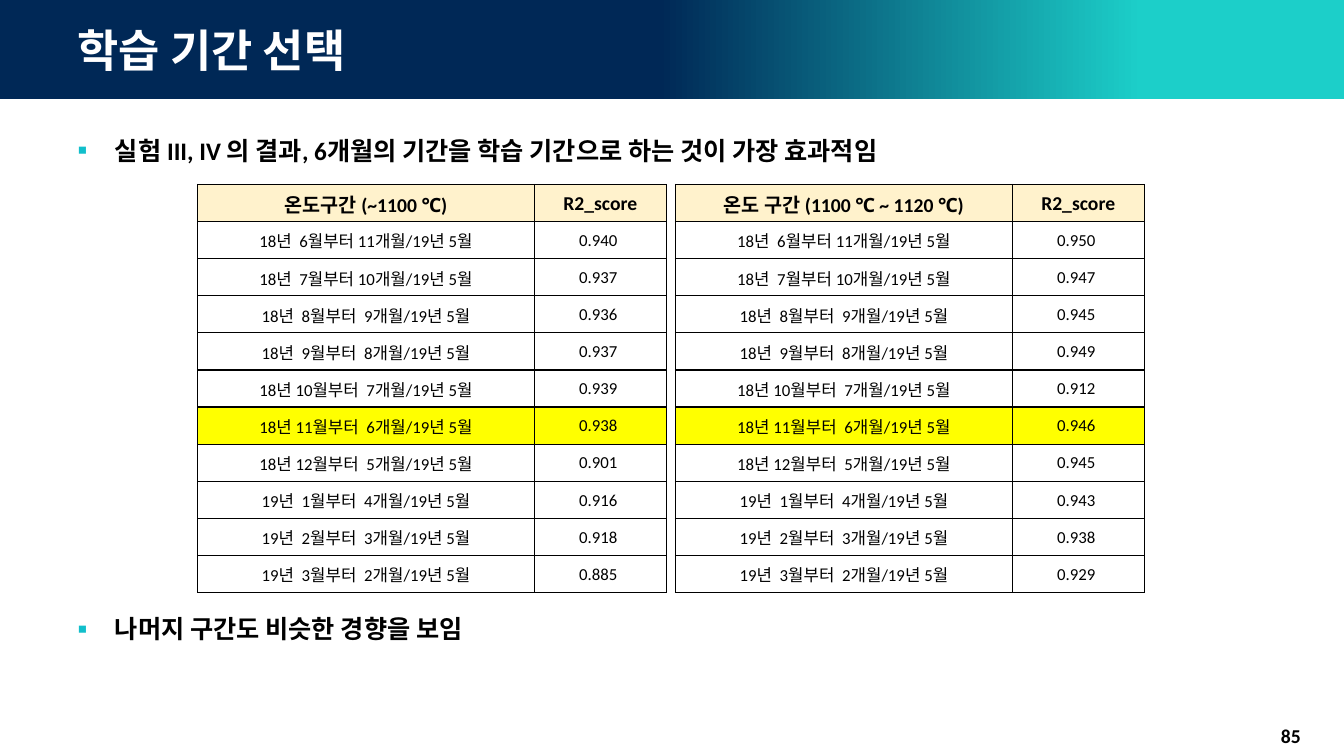
from lxml import etree
from pptx import Presentation, util as u
from pptx.dml.color import RGBColor
from pptx.enum import shapes, text
from pptx.oxml import ns

WIDTH, HEIGHT = 13.33, 7.5
MARGIN = 0.67
BAND_HEIGHT = 0.98
COLUMNS = (3.34, 1.31)
ROW_HEIGHT = 4.05 / 11
TABLE_TOP = 1.83
HIGHLIGHT_ROW = 6

FIRST_SCORES = ["0.940", "0.937", "0.936", "0.937", "0.939",
                "0.938", "0.901", "0.916", "0.918", "0.885"]
SECOND_SCORES = ["0.950", "0.947", "0.945", "0.949", "0.912",
                 "0.946", "0.945", "0.943", "0.938", "0.929"]


def color(value):
    return RGBColor.from_string(value)


def apply(target, values):
    for name, value in values.items():
        setattr(target, name, value)


def add_element(parent, tag, position=None, **attributes):
    element = etree.Element(ns.qn(tag), attributes)
    parent.insert(len(parent) if position is None else position, element)
    return element


def place(item, box):
    apply(item, dict(zip(("left", "top", "width", "height"), map(u.Inches, box))))


def write(para, words, size, bold=True, fill="000000"):
    span = para.add_run()
    span.text = words
    apply(span.font, {"name": "Calibri", "size": u.Pt(size), "bold": bold})
    span.font.color.rgb = color(fill)


def add_bullet(para):
    properties = para._p.get_or_add_pPr()
    properties.set("marL", str(u.Inches(0.37)))
    properties.set("indent", str(u.Inches(-0.37)))
    tint = add_element(properties, "a:buClr")
    add_element(tint, "a:srgbClr", val="11BFCB")
    add_element(properties, "a:buSzPct", val="110000")
    add_element(properties, "a:buFont", typeface="Calibri")
    add_element(properties, "a:buChar", char="▪")


def build_header(page, box):
    band = page.shapes.add_shape(shapes.MSO_SHAPE.RECTANGLE, *map(u.Inches, box))
    band.shadow.inherit = False
    band.line.fill.background()
    band.fill.gradient()
    band.fill.gradient_angle = 0
    for stop, (position, value) in zip(band.fill.gradient_stops,
                                       ((0.49, "002856"), (0.85, "1CCFC9"))):
        stop.color.rgb = color(value)
        stop.position = position
    page.shapes._spTree.insert(2, band._element)

    left, top, width, height = box
    title = page.shapes.title
    place(title, (left + MARGIN, top, width - 2 * MARGIN, height))
    apply(title.text_frame, {"vertical_anchor": text.MSO_ANCHOR.MIDDLE,
                             "auto_size": text.MSO_AUTO_SIZE.NONE,
                             "word_wrap": True})
    para = title.text_frame.paragraphs[0]
    para.alignment = text.PP_ALIGN.LEFT
    write(para, "학습 기간 선택", 32, fill="FFFFFF")


def build_findings(page, box):
    body = page.placeholders[1]
    place(body, box)
    frame = body.text_frame
    apply(frame, {"vertical_anchor": text.MSO_ANCHOR.TOP,
                  "auto_size": text.MSO_AUTO_SIZE.NONE,
                  "word_wrap": True})
    findings = (
        ("실험 III, IV 의 결과, 6개월의 기간을 학습 기간으로 하는 것이 가장 효과적임", 0),
        ("나머지 구간도 비슷한 경향을 보임", 316),
    )
    for index, (words, gap) in enumerate(findings):
        para = frame.add_paragraph() if index else frame.paragraphs[0]
        apply(para, {"line_spacing": 1.2, "space_before": u.Pt(gap),
                     "alignment": text.PP_ALIGN.LEFT})
        add_bullet(para)
        write(para, words, 18)


def add_borders(cell):
    properties = cell._tc.get_or_add_tcPr()
    for position, side in enumerate(("a:lnL", "a:lnR", "a:lnT", "a:lnB")):
        line = add_element(properties, side, position, w=str(u.Pt(1)))
        solid = add_element(line, "a:solidFill")
        add_element(solid, "a:srgbClr", val="000000")


def period_labels():
    labels = []
    for index in range(10):
        year, month = divmod(5 + index, 12)
        labels.append(f"{18 + year}년 {month + 1:>2}월부터 {11 - index:>2}개월/19년 5월")
    return labels


def build_score_table(page, box, heading, scores):
    rows = [(heading, "R2_score"), *zip(period_labels(), scores)]
    frame = page.shapes.add_table(len(rows), len(COLUMNS), *map(u.Inches, box))
    table = frame.table
    apply(table, {"first_row": False, "horz_banding": False})
    for column, width in zip(table.columns, COLUMNS):
        column.width = u.Inches(width)
    for row_index, values in enumerate(rows):
        table.rows[row_index].height = u.Inches(ROW_HEIGHT)
        header = row_index == 0
        fill = {0: "FFF2CC", HIGHLIGHT_ROW: "FFFF00"}.get(row_index, "FFFFFF")
        for column_index, words in enumerate(values):
            cell = table.cell(row_index, column_index)
            right = 0.01 if header or column_index == 0 else 0.05
            apply(cell, {"margin_left": u.Inches(0.01), "margin_top": u.Inches(0.01),
                         "margin_right": u.Inches(right), "margin_bottom": 0,
                         "vertical_anchor": text.MSO_ANCHOR.MIDDLE})
            cell.fill.solid()
            cell.fill.fore_color.rgb = color(fill)
            add_borders(cell)
            para = cell.text_frame.paragraphs[0]
            para.alignment = text.PP_ALIGN.CENTER
            write(para, words, 14 if header else 12, bold=header)


def build_page_number(page, box):
    number = page.shapes.add_textbox(*map(u.Inches, box))
    apply(number.text_frame, {"word_wrap": True,
                              "vertical_anchor": text.MSO_ANCHOR.MIDDLE})
    para = number.text_frame.paragraphs[0]
    para.alignment = text.PP_ALIGN.RIGHT
    write(para, "85", 14)


def main():
    deck = Presentation()
    apply(deck, {"slide_width": u.Inches(WIDTH), "slide_height": u.Inches(HEIGHT)})
    page = deck.slides.add_slide(deck.slide_layouts[1])
    build_header(page, (0, 0, WIDTH, BAND_HEIGHT))
    build_findings(page, (MARGIN, 1.23, WIDTH - 2 * MARGIN, 5.59))
    tables = (
        (1.96, "온도구간 (~1100 ℃)", FIRST_SCORES),
        (6.7, "온도 구간 (1100 ℃ ~ 1120 ℃)", SECOND_SCORES),
    )
    for left, heading, scores in tables:
        box = (left, TABLE_TOP, sum(COLUMNS), ROW_HEIGHT * 11)
        build_score_table(page, box, heading, scores)
    build_page_number(page, (10.1, 7.1, 2.9, 0.4))
    deck.save("out.pptx")


if __name__ == "__main__":
    main()
